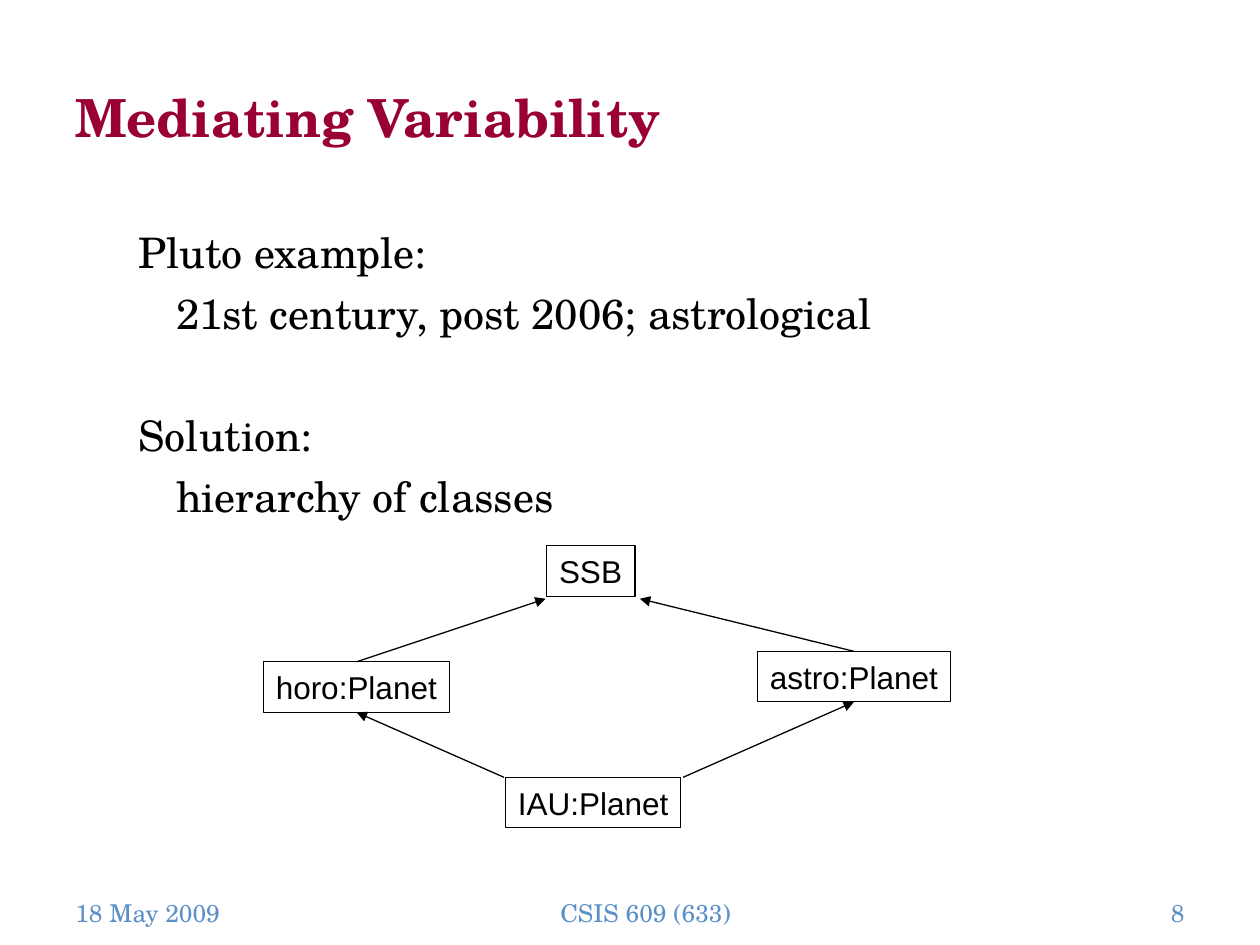
from dataclasses import dataclass

from lxml.etree import SubElement
from pptx import Presentation
from pptx.dml.color import RGBColor
from pptx.enum.shapes import MSO_CONNECTOR as Line, MSO_SHAPE as Shape
from pptx.enum.text import MSO_ANCHOR as Anchor, PP_ALIGN as Align
from pptx.oxml.ns import qn
from pptx.util import Cm, Pt


@dataclass(frozen=True)
class Theme:
    """Colours, fonts and sizes of the slide."""
    serif: str = "TeX Gyre Schola"
    sans: str = "Arial"
    ink: str = "000000"
    title: str = "990033"
    footer: str = "5A90C7"
    title_size: int = 30
    body_size: int = 24
    node_size: int = 18
    footer_size: int = 14
    line_width: float = 0.75


THEME = Theme()
TOP, BOTTOM = 0, 2


def rgb(code):
    """Return the colour for a hex code."""
    return RGBColor.from_string(code)


def set_font(p, name, size, colour, bold=False):
    """Style a whole paragraph."""
    p.font.name, p.font.size, p.font.bold = name, Pt(size), bold
    p.font.color.rgb = rgb(colour)


def add_text_frame(slide, box):
    """Add a wrapping text box and return its frame."""
    tf = slide.shapes.add_textbox(*map(Cm, box)).text_frame
    tf.word_wrap = True
    return tf


def add_title(slide, box, text):
    """Place the slide title, centred vertically in its box."""
    tf = add_text_frame(slide, box)
    tf.vertical_anchor = Anchor.MIDDLE
    p = tf.paragraphs[0]
    p.text = text
    set_font(p, THEME.serif, THEME.title_size, THEME.title, bold=True)


def add_body(slide, box, lines):
    """Place body lines given as text, indent in cm and space before in points."""
    tf = add_text_frame(slide, box)
    for i, (text, indent, space) in enumerate(lines):
        p = tf.add_paragraph() if i else tf.paragraphs[0]
        p.text = text
        p.space_before = Pt(space)
        p._p.get_or_add_pPr().set("marL", str(Cm(indent)))
        set_font(p, THEME.serif, THEME.body_size, THEME.ink)


def add_node(slide, left, top, width, text):
    """Add one outlined class box."""
    sp = slide.shapes.add_shape(Shape.RECTANGLE, Cm(left), Cm(top), Cm(width), Cm(1.02))
    sp.shadow.inherit = False
    sp.fill.background()
    sp.line.color.rgb = rgb(THEME.ink)
    sp.line.width = Pt(THEME.line_width)
    tf = sp.text_frame
    tf.word_wrap = False
    p = tf.paragraphs[0]
    p.text = text
    p.alignment = Align.LEFT
    set_font(p, THEME.sans, THEME.node_size, THEME.ink)
    return sp


def add_arrow(slide, x, y):
    """Add an arrow whose two ends start at one point, ready to be placed."""
    cxn = slide.shapes.add_connector(Line.STRAIGHT, Cm(x), Cm(y), Cm(x), Cm(y))
    cxn.line.color.rgb = rgb(THEME.ink)
    cxn.line.width = Pt(THEME.line_width)
    SubElement(cxn.line._get_or_add_ln(), qn("a:tailEnd"), type="triangle")
    SubElement(cxn._element.spPr, qn("a:effectLst"))
    return cxn


def add_hierarchy(slide, box):
    """Draw the class hierarchy: a root, two middle classes and a shared subclass."""
    left, top = box[:2]
    add_node(slide, left + 5.71, top, 1.78, "SSB")
    astro = add_node(slide, left + 9.96, top + 2.13, 3.89, "astro:Planet")
    horo = add_node(slide, left, top + 2.34, 3.76, "horo:Planet")
    add_node(slide, left + 4.88, top + 4.67, 3.53, "IAU:Planet")
    for middle, root_x, leaf_x in ((horo, 5.69, 4.85), (astro, 7.59, 8.46)):
        up = add_arrow(slide, left + root_x, top + 1.07)
        up.begin_connect(middle, TOP)
        down = add_arrow(slide, left + leaf_x, top + 4.67)
        down.end_connect(middle, BOTTOM)


def add_footer(slide, box, parts):
    """Place footer parts side by side, each with its width and alignment."""
    left, top, _, height = box
    for text, width, align in parts:
        p = add_text_frame(slide, (left, top, width, height)).paragraphs[0]
        p.text = text
        p.alignment = align
        set_font(p, THEME.serif, THEME.footer_size, THEME.footer)
        left += width


def main():
    """Build and save the slide."""
    prs = Presentation()
    prs.slide_width, prs.slide_height = Cm(25.4), Cm(19.05)
    slide = prs.slides.add_slide(prs.slide_layouts[6])
    add_title(slide, (1.27, 0.76, 20.12, 3.18), "Mediating Variability")
    add_body(slide, (2.54, 4.45, 20.96, 12.57), (
        ("Pluto example:", 0, 0),
        ("21st century, post 2006; astrological", 0.76, 6),
        ("Solution:", 0, 41),
        ("hierarchy of classes", 0.76, 6),
    ))
    add_hierarchy(slide, (5.31, 11, 13.85, 5.69))
    add_footer(slide, (1.27, 17.98, 22.86, 0.69), (
        ("18 May 2009", 5.51, Align.LEFT),
        ("CSIS 609 (633)", 12.47, Align.CENTER),
        ("8", 4.88, Align.RIGHT),
    ))
    prs.save("out.pptx")


if __name__ == "__main__":
    main()
